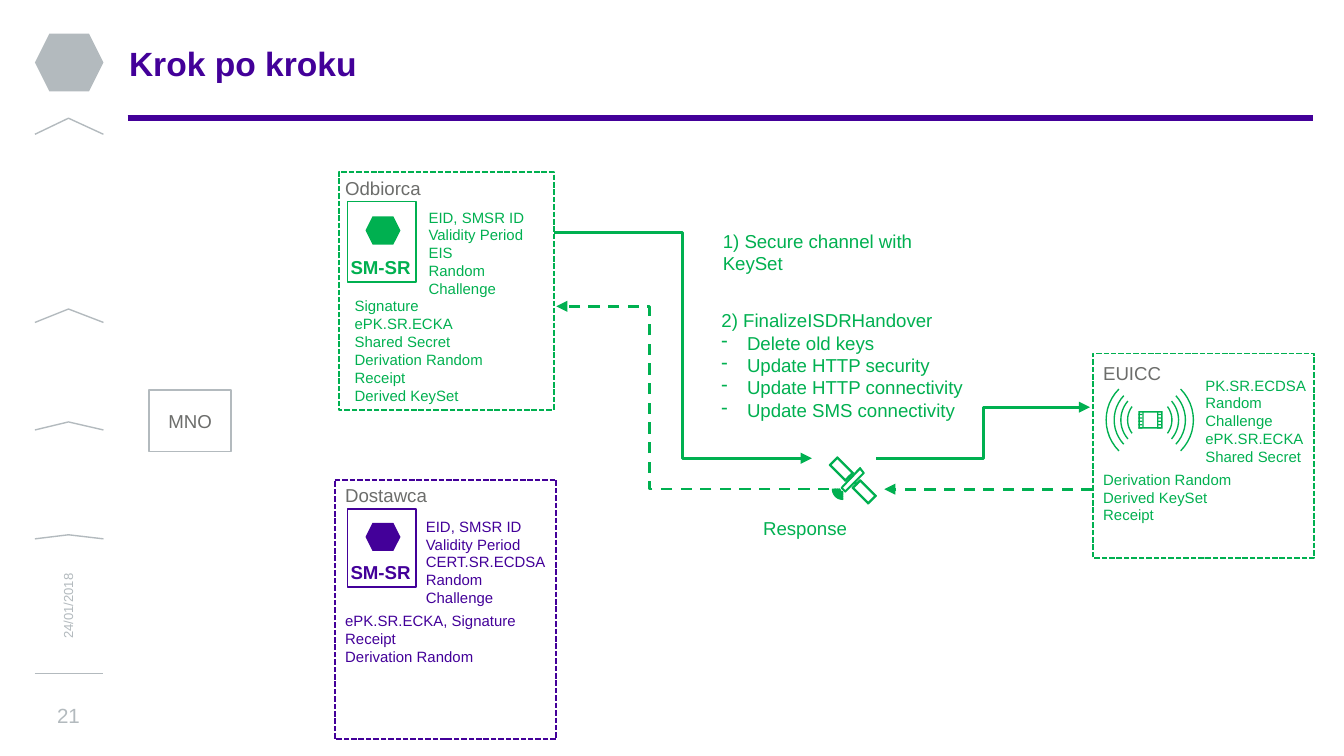
from dataclasses import dataclass
from math import cos, radians, sin

from pptx import Presentation
from pptx.dml.color import RGBColor
from pptx.enum.dml import MSO_LINE
from pptx.enum.shapes import MSO_CONNECTOR, MSO_SHAPE
from pptx.enum.text import MSO_ANCHOR, MSO_AUTO_SIZE, PP_ALIGN
from pptx.oxml.ns import qn
from pptx.util import Inches, Pt
from lxml.etree import SubElement


@dataclass(frozen=True)
class Theme:
    font: str = "Arial"
    purple: str = "430099"
    green: str = "00B050"
    silver: str = "B3BABE"
    gray: str = "6C6D6B"
    white: str = "FFFFFF"
    title: float = 18
    page_number: float = 11
    label: float = 10
    detail: float = 8
    date: float = 7


THEME = Theme()


def add_bullet(para, mark, indent):
    """Hang a text bullet in front of the paragraph."""
    props = para._p.get_or_add_pPr()
    props.set("marL", str(Inches(indent)))
    props.set("indent", str(-Inches(indent)))
    SubElement(props, qn("a:buChar"), char=mark)


def write_text(frame, lines, size=THEME.label, color=THEME.green, bold=False,
               align=PP_ALIGN.LEFT, spacing=None, bullets_from=None):
    for index, line in enumerate(lines):
        para = frame.paragraphs[0] if index == 0 else frame.add_paragraph()
        para.alignment = align
        if spacing:
            para.line_spacing = spacing
        if bullets_from is not None and index >= bullets_from:
            add_bullet(para, "-", 0.19)
        span = para.add_run()
        span.text = line
        span.font.name = THEME.font
        span.font.size = Pt(size)
        span.font.bold = bold
        span.font.color.rgb = RGBColor.from_string(color)


def arc_band(center, inner, outer, start, end, steps=12):
    """Return the corners of a ring section; angles in degrees, clockwise from the right."""
    angles = [radians(start + (end - start) * step / steps) for step in range(steps + 1)]
    rims = [(outer, angle) for angle in angles] + [(inner, angle) for angle in reversed(angles)]
    return [(center[0] + r * cos(angle), center[1] + r * sin(angle)) for r, angle in rims]


class Board:
    def __init__(self, page, theme):
        self.page = page
        self.theme = theme

    def paint(self, shape, fill, line, width, dash=None):
        shape.shadow.inherit = False
        if fill:
            shape.fill.solid()
            shape.fill.fore_color.rgb = RGBColor.from_string(fill)
        else:
            shape.fill.background()
        if line:
            shape.line.color.rgb = RGBColor.from_string(line)
            shape.line.width = Pt(width)
            if dash:
                shape.line.dash_style = dash
        else:
            shape.line.fill.background()

    def box(self, left, top, width, height, fill=THEME.white, line=None,
            dash=None, kind=MSO_SHAPE.RECTANGLE):
        shape = self.page.shapes.add_shape(
            kind, Inches(left), Inches(top), Inches(width), Inches(height))
        self.paint(shape, fill, line, 1, dash)
        return shape

    def outline(self, contours, fill=None, line=None, close=True):
        contours = [[(Inches(x), Inches(y)) for x, y in points] for points in contours]
        builder = self.page.shapes.build_freeform(*contours[0][0], scale=1.0)
        for index, points in enumerate(contours):
            if index:
                builder.move_to(*points[0])
            builder.add_line_segments(points[1:], close=close)
        self.paint(builder.convert_to_shape(), fill, line, 0.75)

    def text(self, left, top, width, height, *lines, wrap=True, grow=True,
             anchor=MSO_ANCHOR.TOP, tight=False, **style):
        shape = self.page.shapes.add_textbox(
            Inches(left), Inches(top), Inches(width), Inches(height))
        frame = shape.text_frame
        frame.word_wrap = wrap
        frame.auto_size = MSO_AUTO_SIZE.SHAPE_TO_FIT_TEXT if grow else MSO_AUTO_SIZE.NONE
        frame.vertical_anchor = anchor
        if tight:
            frame.margin_left = frame.margin_right = Inches(0.04)
            frame.margin_top = frame.margin_bottom = 0
        write_text(frame, lines, **style)
        return shape

    def connector(self, start, end, color=THEME.green, width=1.5, dash=None,
                  arrow=True, bend=None):
        """Draw a straight line, or an elbow that turns at the share `bend` of its width."""
        kind = MSO_CONNECTOR.ELBOW if bend else MSO_CONNECTOR.STRAIGHT
        link = self.page.shapes.add_connector(kind, *map(Inches, start + end))
        link.line.color.rgb = RGBColor.from_string(color)
        link.line.width = Pt(width)
        if dash:
            link.line.dash_style = dash
        props = link._element.spPr
        if bend:
            guides = props.find(qn("a:prstGeom")).get_or_add_avLst()
            SubElement(guides, qn("a:gd"), name="adj1", fmla=f"val {round(bend * 100000)}")
        if arrow:
            SubElement(link.line._get_or_add_ln(), qn("a:tailEnd"), type="triangle")
        SubElement(props, qn("a:effectLst"))

    def module(self, top, height, symbol_top, label_top, color):
        self.box(2.585, top, 0.51, height, line=color)
        self.box(2.72, symbol_top, 0.26, 0.21, fill=color, kind=MSO_SHAPE.HEXAGON)
        self.text(2.51, label_top, 0.71, 0.16, "SM-SR", grow=False,
                  color=color, bold=True, spacing=0.9)

    def chip(self):
        """Draw the card chip with radio waves on both sides."""
        green = self.theme.green
        for radius, sweep in ((0.17, 37), (0.22, 41), (0.27, 43), (0.33, 45)):
            for facing in (0, 180):
                self.outline([arc_band((8.555, 3.125), radius - 0.01, radius,
                                       facing - sweep, facing + sweep)], fill=green)
        frame = self.box(8.47, 3.06, 0.18, 0.13, fill=green, kind=MSO_SHAPE.FRAME)
        frame.adjustments[0] = 0.08
        for bar_left, pins_left in ((8.5, 8.47), (8.61, 8.61)):
            self.box(bar_left, 3.06, 0.01, 0.12, fill=green)
            for pin in range(5):
                self.box(pins_left, 3.08 + 0.025 * pin, 0.03, 0.01, fill=green)

    def satellite(self):
        ink = dict(fill=self.theme.purple, line=self.theme.green)
        for radius in (0.075, 0.06, 0.045, 0.03):
            self.outline([arc_band((6.27, 3.64), radius - 0.01, radius, 90, 180)], **ink)
        panel = [(6.29, 3.58), (6.17, 3.46), (6.23, 3.4), (6.35, 3.52)]
        inside = [(6.29, 3.57), (6.18, 3.46), (6.23, 3.41), (6.34, 3.52)]
        for shift in (0, 0.17):
            self.outline([[(x + shift, y + shift) for x, y in points]
                          for points in (panel, inside)], **ink)
        body = [(6.29, 3.66), (6.26, 3.63), (6.4, 3.48), (6.43, 3.52)]
        core = [(6.29, 3.655), (6.265, 3.63), (6.4, 3.49), (6.425, 3.52)]
        self.outline([body, core], fill=self.theme.silver, line=self.theme.green)
        for shift in (0, 0.045):
            self.outline([[(x + shift, y + shift) for x, y in
                           ((6.33, 3.56), (6.31, 3.55), (6.32, 3.54))]], **ink)


def main():
    deck = Presentation()
    deck.slide_width, deck.slide_height = Inches(10), Inches(5.625)
    board = Board(deck.slides.add_slide(deck.slide_layouts[6]), THEME)
    middle, center = MSO_ANCHOR.MIDDLE, PP_ALIGN.CENTER
    purple, green, silver, gray = THEME.purple, THEME.green, THEME.silver, THEME.gray

    # Side rail and title
    board.box(0.26, 0.25, 0.51, 0.43, fill=silver, kind=MSO_SHAPE.HEXAGON)
    chevrons = ((1, 0.88), (2.4, 2.3), (3.2, 3.14), (4.01, 3.98), (5.01, 5.01))
    board.outline([[(0.26, foot), (0.51, peak), (0.77, foot)] for foot, peak in chevrons],
                  line=silver, close=False)
    board.connector((0.95, 0.88), (9.77, 0.88), color=purple, width=3, arrow=False)
    rail = dict(grow=False, anchor=middle, tight=True)
    board.text(0.92, 0.25, 8.84, 0.47, "Krok po kroku", size=THEME.title, color=purple,
               bold=True, spacing=0.9, **rail)
    date = board.text(0.01, 4.36, 0.99, 0.3, "24/01/2018", size=THEME.date,
                      color=silver, align=center, **rail)
    date.rotation = 270
    board.text(0.26, 5.23, 0.5, 0.19, "21", size=THEME.page_number,
               color=silver, align=center, **rail)

    # Parties
    for left, top, width, height, color in ((8.13, 2.63, 1.65, 1.52, green),
                                            (2.52, 1.28, 1.6, 1.77, green),
                                            (2.49, 3.57, 1.65, 1.93, purple)):
        board.box(left, top, width, height, line=color, dash=MSO_LINE.SQUARE_DOT)
    operator = board.box(1.11, 2.9, 0.61, 0.46, line=silver)
    operator.text_frame.vertical_anchor = middle
    write_text(operator.text_frame, ["MNO"], color=gray, align=center)
    board.module(3.79, 0.58, 3.89, 4.14, purple)
    board.module(1.5, 0.6, 1.61, 1.87, green)
    board.chip()
    for left, top, width, name in ((2.47, 1.27, 0.77, "Odbiorca"),
                                   (2.47, 3.55, 0.82, "Dostawca"),
                                   (8.11, 2.64, 0.64, "EUICC")):
        board.text(left, top, width, 0.27, name, wrap=False, color=gray)

    # Data held by each party
    for place, color, lines in (
            ((3.09, 1.5, 1.05, 0.77), green,
             ("EID, SMSR ID", "Validity Period", "EIS", "Random Challenge")),
            ((3.07, 3.8, 1.11, 0.77), purple,
             ("EID, SMSR ID", "Validity Period", "CERT.SR.ECDSA", "Random Challenge")),
            ((8.87, 2.75, 0.96, 0.77), green,
             ("PK.SR.ECDSA", "Random Challenge", "ePK.SR.ECKA", "Shared Secret")),
            ((2.54, 2.16, 1.55, 1.04), green,
             ("Signature", "ePK.SR.ECKA", "Shared Secret", "Derivation Random",
              "Receipt", "Derived KeySet")),
            ((2.47, 4.5, 1.66, 0.5), purple,
             ("ePK.SR.ECKA, Signature", "Receipt", "Derivation Random")),
            ((8.11, 3.45, 1.65, 0.5), green,
             ("Derivation Random", "Derived KeySet", "Receipt"))):
        board.text(*place, *lines, size=THEME.detail, color=color)

    # Message flow
    board.connector((4.12, 1.73), (6.04, 3.41), bend=0.5)
    board.satellite()
    board.connector((6.52, 3.41), (8.11, 3.03), bend=0.5)
    board.connector((8.13, 3.64), (6.58, 3.64), dash=MSO_LINE.DASH, bend=0.5)
    board.connector((6.17, 3.64), (4.14, 2.28), dash=MSO_LINE.DASH, bend=0.66)
    board.text(5.28, 1.66, 2.04, 0.44, "1) Secure channel with KeySet")
    board.text(5.27, 2.25, 2.04, 1.11, "2) FinalizeISDRHandover", "Delete old keys",
               "Update HTTP security", "Update HTTP connectivity",
               "Update SMS connectivity", bullets_from=1)
    board.text(5.58, 3.8, 2.06, 0.27, "Response")
    deck.save("out.pptx")


if __name__ == "__main__":
    main()
